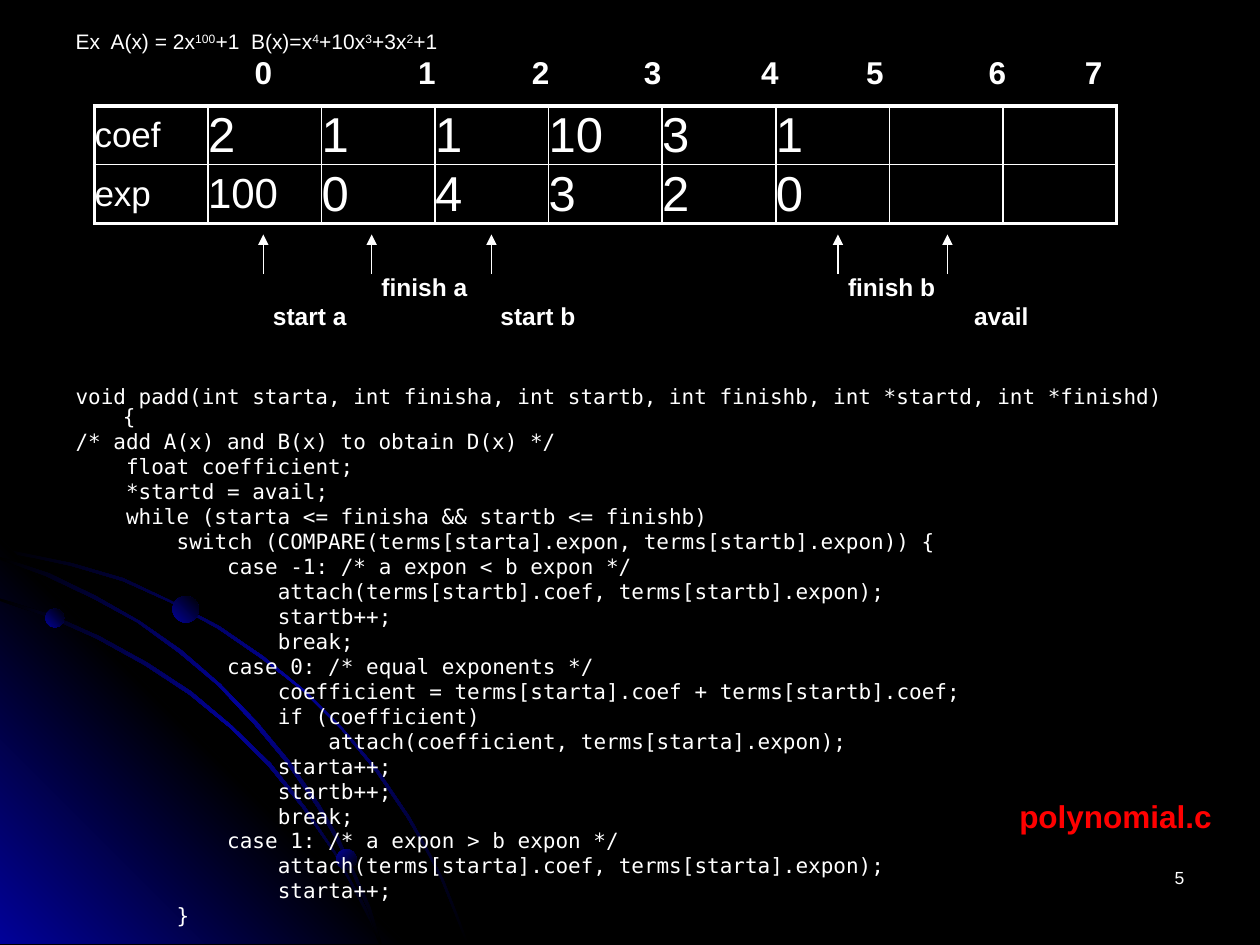
from pptx import Presentation
from pptx.dml.color import RGBColor
from pptx.enum import shapes, text
from pptx.oxml import parse_xml
from pptx.util import Pt

WHITE = RGBColor(0xFF, 0xFF, 0xFF)
BLACK = RGBColor(0x00, 0x00, 0x00)
BLUE = RGBColor(0x01, 0x01, 0x99)
RED = RGBColor(0xFF, 0x00, 0x00)
NS = 'xmlns:a="http://schemas.openxmlformats.org/drawingml/2006/main"'
HUNDREDTH_INCH = Pt(0.72)

OUTER_ARC = [
    (57, 447), (28, 441), (0, 435), (0, 438), (28, 443), (56, 449), (97, 461), (135, 478),
    (173, 499), (208, 523), (241, 549), (271, 579), (298, 612), (323, 649), (337, 673),
    (350, 698), (360, 723), (370, 749), (372, 749), (362, 723), (352, 698), (339, 673),
    (325, 648), (300, 611), (272, 578), (242, 548), (209, 521), (174, 497), (136, 477), (98, 459)]
CORNER = [(322, 749), (0, 749), (0, 427)]
INNER_ARC = [
    (285, 714), (294, 732), (301, 749), (303, 749), (296, 730), (286, 712), (266, 676),
    (242, 640), (215, 606), (184, 576), (152, 549), (117, 526), (79, 505), (41, 488), (0, 475),
    (0, 477), (39, 490), (77, 507), (115, 528), (150, 551), (183, 578), (213, 608), (240, 641),
    (265, 677)]
MIDDLE_ARC = [
    (0, 442), (0, 444), (36, 457), (74, 475), (109, 494), (142, 518), (173, 544), (202, 575),
    (227, 605), (252, 641), (267, 667), (280, 694), (292, 722), (301, 749), (303, 749),
    (294, 720), (282, 693), (269, 665), (254, 639), (229, 603), (204, 573), (175, 543),
    (144, 516), (111, 493), (76, 473), (39, 455)]

CODE = [
    (0, "void padd(int starta, int finisha, int startb, int finishb, int *startd, int *finishd) {"),
    (0, "/* add A(x) and B(x) to obtain D(x) */"),
    (1, "float coefficient;"),
    (1, "*startd = avail;"),
    (1, "while (starta <= finisha && startb <= finishb)"),
    (2, "switch (COMPARE(terms[starta].expon, terms[startb].expon)) {"),
    (3, "case -1: /* a expon < b expon */"),
    (4, "attach(terms[startb].coef, terms[startb].expon);"),
    (4, "startb++;"),
    (4, "break;"),
    (3, "case 0: /* equal exponents */"),
    (4, "coefficient = terms[starta].coef + terms[startb].coef;"),
    (4, "if (coefficient)"),
    (5, "attach(coefficient, terms[starta].expon);"),
    (4, "starta++;"),
    (4, "startb++;"),
    (4, "break;"),
    (3, "case 1: /* a expon > b expon */"),
    (4, "attach(terms[starta].coef, terms[starta].expon);"),
    (4, "starta++;"),
    (2, "}"),
]


def style(run, size, color=WHITE, bold=False, name="Arial"):
    """Apply the font values to a run."""
    for key, value in {"size": Pt(size), "bold": bold, "name": name}.items():
        setattr(run.font, key, value)
    run.font.color.rgb = color


def add_frame(slide, left, top, width, height, wrap=False):
    """Add a text box without margins and return its frame."""
    frame = slide.shapes.add_textbox(Pt(left), Pt(top), Pt(width), Pt(height)).text_frame
    settings = {"margin_left": 0, "margin_right": 0, "margin_top": 0, "margin_bottom": 0,
                "word_wrap": wrap}
    for key, value in settings.items():
        setattr(frame, key, value)
    return frame


def add_label(slide, words, left, middle, size, width=80, align=text.PP_ALIGN.LEFT, **font):
    """Add one line of text centred on the height given."""
    frame = add_frame(slide, left, middle - size, width, 2 * size, wrap=True)
    frame.vertical_anchor = text.MSO_ANCHOR.MIDDLE
    frame.paragraphs[0].alignment = align
    run = frame.paragraphs[0].add_run()
    run.text = words
    style(run, size, **font)
    return frame.paragraphs[0]


def paint_gradient(shape, colors, angle):
    """Fill a shape with evenly spaced gradient colours and no line."""
    step = 100000 // (len(colors) - 1)
    stops = "".join(f'<a:gs pos="{i * step}"><a:srgbClr val="{color}"/></a:gs>'
                    for i, color in enumerate(colors))
    shape.shadow.inherit = False
    shape.line.fill.background()
    shape.fill.background()
    properties = shape._element.spPr
    empty = next(child for child in properties if child.tag.endswith("}noFill"))
    properties.replace(empty, parse_xml(
        f'<a:gradFill {NS}><a:gsLst>{stops}</a:gsLst>'
        f'<a:lin ang="{angle * 60000}" scaled="0"/></a:gradFill>'))


def draw_backdrop(slide):
    """Draw the glowing corner, the arcs and the planets."""
    glow = (BLACK, BLUE, BLACK)
    for outline, colors, angle in [(OUTER_ARC, glow, 45), (CORNER, (BLUE, BLACK, BLUE), 315),
                                   (INNER_ARC, glow, 45), (MIDDLE_ARC, glow, 45)]:
        builder = slide.shapes.build_freeform(*outline[0], scale=HUNDREDTH_INCH)
        builder.add_line_segments(outline[1:], close=True)
        paint_gradient(builder.convert_to_shape(), colors, angle)
    for left, top, size, angle in [(25.9, 347.8, 10.8, 315), (192.2, 485.3, 11.5, 45),
                                   (98.6, 340.6, 15.1, 315)]:
        planet = slide.shapes.add_shape(shapes.MSO_SHAPE.OVAL, Pt(left), Pt(top), Pt(size), Pt(size))
        paint_gradient(planet, (BLUE, BLACK), angle)


def write_example(slide, left, middle):
    """Write the two polynomials with raised exponents."""
    line = add_label(slide, "Ex", left, middle, 12, width=300)
    pieces = ["  A(x) = 2x", "100", "+1  B(x)=x", "4", "+10x", "3", "+3x", "2", "+1"]
    for i, piece in enumerate(pieces):
        run = line.add_run()
        run.text = piece
        style(run, 12)
        if i % 2:
            run.font._element.set("baseline", "30000")


def set_borders(cell, widths):
    """Give a cell white borders, keyed by side."""
    properties = cell._tc.get_or_add_tcPr()
    for i, (side, width) in enumerate(widths.items()):
        properties.insert(i, parse_xml(
            f'<a:{side} {NS} w="{Pt(width)}"><a:solidFill><a:srgbClr val="{WHITE}"/>'
            f'</a:solidFill></a:{side}>'))


def draw_terms(slide, left, top, width, height):
    """Draw the table of coefficients and exponents."""
    rows = [["coef", "2", "1", "1", "10", "3", "1", "", ""],
            ["exp", "100", "0", "4", "3", "2", "0", "", ""]]
    last_row, last_column = len(rows) - 1, len(rows[0]) - 1
    sizes = {"coef": 20, "exp": 20, "100": 24}
    table = slide.shapes.add_table(len(rows), len(rows[0]), Pt(left), Pt(top),
                                   Pt(width), Pt(height)).table
    table.first_row = table.horz_banding = False
    for r, values in enumerate(rows):
        for c, value in enumerate(values):
            cell = table.cell(r, c)
            cell.fill.background()
            cell.vertical_anchor = text.MSO_ANCHOR.MIDDLE
            for side in ("left", "right", "top", "bottom"):
                setattr(cell, f"margin_{side}", 0)
            if value:
                run = cell.text_frame.paragraphs[0].add_run()
                run.text = value
                style(run, sizes.get(value, 28))
            edges = {"lnL": c == 0, "lnR": c == last_column, "lnT": r == 0, "lnB": r == last_row}
            set_borders(cell, {side: 2.25 if outer else 1 for side, outer in edges.items()})


def draw_pointers(slide, top, bottom):
    """Draw the arrows below the table and their labels."""
    low, high = bottom + 24, bottom + 7.5
    for x, words, left, middle in [(150.5, "start a", 156, low), (212.4, "finish a", 218, high),
                                   (280.8, "start b", 286, low), (478.8, "finish b", 484.6, high),
                                   (541.4, "avail", 556.6, low)]:
        arrow = slide.shapes.add_connector(shapes.MSO_CONNECTOR.STRAIGHT,
                                           Pt(x), Pt(bottom), Pt(x), Pt(top))
        arrow.line.color.rgb = WHITE
        arrow.line.width = Pt(0.75)
        arrow.line._get_or_add_ln().append(parse_xml(f'<a:tailEnd {NS} type="triangle"/>'))
        arrow._element.spPr.append(parse_xml(f'<a:effectLst {NS}/>'))
        add_label(slide, words, left, middle, 14, bold=True)


def write_code(slide, left, top, width, height):
    """Write the padd function, indented by level."""
    frame = add_frame(slide, left, top, width, height, wrap=True)
    for i, (level, words) in enumerate(CODE):
        line = frame.paragraphs[0] if i == 0 else frame.add_paragraph()
        line.line_spacing = 0.8
        line.space_before = Pt(2.75 if i else 0)
        indents = line._p.get_or_add_pPr()
        indents.set("marL", str(Pt(27 + 28.9 * level)))
        indents.set("indent", str(Pt(-27)))
        run = line.add_run()
        run.text = words
        style(run, 12, name="DejaVu Sans Mono")


def main():
    """Build the slide and save it."""
    deck = Presentation()
    deck.slide_width, deck.slide_height = Pt(720), Pt(540)
    slide = deck.slides.add_slide(deck.slide_layouts[6])
    slide.background.fill.solid()
    slide.background.fill.fore_color.rgb = BLACK
    draw_backdrop(slide)
    add_label(slide, "5", 596.8, 501.7, 10, align=text.PP_ALIGN.RIGHT)
    write_example(slide, 43.2, 23.4)
    for index, left in enumerate([145.5, 239, 304, 368, 435, 495, 565, 620]):
        add_label(slide, str(index), left, 41, 18, width=20, bold=True)
    write_code(slide, 43.2, 222, 633.6, 306)
    draw_terms(slide, 54, 60.5, 584, 67)
    draw_pointers(slide, 134, 156.6)
    add_label(slide, "polynomial.c", 582.5, 466, 18, width=125, color=RED, bold=True)
    deck.save("out.pptx")


if __name__ == "__main__":
    main()
